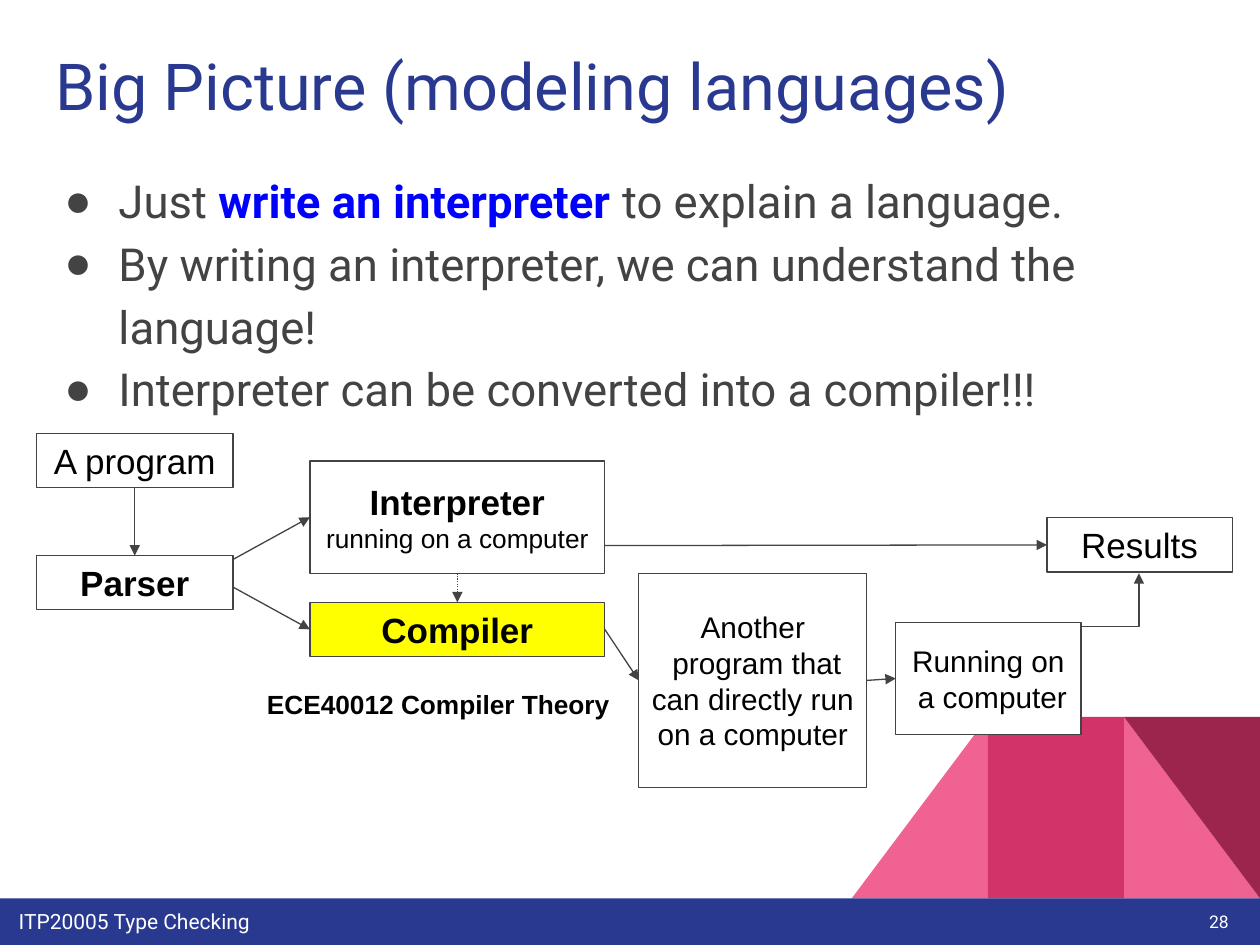
from pptx import Presentation
from pptx.dml.color import RGBColor
from pptx.enum.dml import MSO_LINE
from pptx.enum.shapes import MSO_CONNECTOR, MSO_SHAPE
from pptx.enum.text import MSO_ANCHOR, MSO_AUTO_SIZE, PP_ALIGN
from pptx.oxml.ns import qn
from pptx.util import Inches, Pt
from lxml.etree import SubElement

NAVY, GRAY, PINK = "2A3990", "434343", "F06292"
BLACK, WHITE = "000000", "FFFFFF"
TOP, LEFT, BOTTOM, RIGHT = range(4)


def color(value):
    return RGBColor.from_string(value)


def place(shape, left, top, width, height):
    shape.left, shape.top = Inches(left), Inches(top)
    shape.width, shape.height = Inches(width), Inches(height)


def set_frame(shape, anchor=MSO_ANCHOR.TOP):
    frame = shape.text_frame
    frame.word_wrap = True
    frame.auto_size = MSO_AUTO_SIZE.NONE
    frame.vertical_anchor = anchor
    frame.margin_left = frame.margin_right = Inches(0.1)
    frame.margin_top = frame.margin_bottom = Inches(0.1)
    return frame


def add_run(paragraph, text, size, font="Arial", fill=BLACK, bold=False):
    for index, line in enumerate(text.split("\n")):
        if index:
            paragraph.add_line_break()
        run = paragraph.add_run()
        run.text = line
        run.font.size, run.font.name, run.font.bold = Pt(size), font, bold
        run.font.color.rgb = color(fill)


def add_label(slide, at, text, size, font, fill, bold=False,
              align=PP_ALIGN.LEFT, anchor=MSO_ANCHOR.TOP):
    label = slide.shapes.add_textbox(*map(Inches, at))
    paragraph = set_frame(label, anchor).paragraphs[0]
    paragraph.alignment = align
    add_run(paragraph, text, size, font, fill, bold)


def add_block(slide, kind, at, fill, rotation=0, mirrored=False):
    block = slide.shapes.add_shape(kind, *map(Inches, at))
    block.shadow.inherit = False
    block.fill.solid()
    block.fill.fore_color.rgb = color(fill)
    block.line.fill.background()
    block.rotation = rotation
    if mirrored:
        block._element.spPr.find(qn("a:xfrm")).set("flipH", "1")


def add_box(slide, at, runs, fill=None):
    """Outlined diagram box; runs are (text, size, bold)."""
    box = slide.shapes.add_shape(MSO_SHAPE.RECTANGLE, *map(Inches, at))
    box.shadow.inherit = False
    if fill:
        box.fill.solid()
        box.fill.fore_color.rgb = color(fill)
    else:
        box.fill.background()
    box.line.color.rgb = color(GRAY)
    box.line.width = Pt(0.75)
    paragraph = set_frame(box, MSO_ANCHOR.MIDDLE).paragraphs[0]
    paragraph.alignment = PP_ALIGN.CENTER
    for text, size, bold in runs:
        add_run(paragraph, text, size, bold=bold)
    return box


def add_arrow(slide, start, end, source=None, target=None,
              kind=MSO_CONNECTOR.STRAIGHT, dotted=False):
    """Arrow between points; source and target are (box, side) joints."""
    arrow = slide.shapes.add_connector(kind, *map(Inches, start + end))
    if source:
        arrow.begin_connect(*source)
    if target:
        arrow.end_connect(*target)
    arrow.line.color.rgb = color(GRAY)
    arrow.line.width = Pt(0.75)
    if dotted:
        arrow.line.dash_style = MSO_LINE.ROUND_DOT
    SubElement(arrow.line._get_or_add_ln(), qn("a:tailEnd"), type="triangle")
    SubElement(arrow._element.spPr, qn("a:effectLst"))
    return arrow


def add_bullet(paragraph, runs):
    paragraph.line_spacing = 1.15
    paragraph.space_before = Pt(0)
    properties = paragraph._p.get_or_add_pPr()
    properties.set("marL", str(Inches(0.5)))
    properties.set("indent", str(Inches(-0.43)))
    bullet_color = SubElement(properties, qn("a:buClr"))
    SubElement(bullet_color, qn("a:srgbClr"), val=GRAY)
    SubElement(properties, qn("a:buChar"), char="●")
    for text, fill, bold in runs:
        add_run(paragraph, text, 26, "Roboto", fill, bold)


def add_decoration(slide):
    width, height, top = 1.08, 1.44, 5.69
    triangle, rectangle = MSO_SHAPE.RIGHT_TRIANGLE, MSO_SHAPE.RECTANGLE
    columns = [(left, top, width, height) for left in (6.76, 7.84, 8.92)]
    add_block(slide, triangle, columns[2], PINK)
    add_block(slide, triangle, columns[0], PINK, mirrored=True)
    add_block(slide, rectangle, columns[1], "D23369")
    add_block(slide, triangle, columns[2], "9C254D", rotation=180)
    # Footer bar
    add_block(slide, rectangle, (0, 7.13, 10, 0.37), NAVY)
    add_label(slide, (0.05, 7.11, 7.35, 0.36), "ITP20005 Type Checking",
              12, "Roboto", WHITE)
    add_label(slide, (9.25, 7.03, 0.6, 0.57), "28", 10, "Roboto", WHITE,
              align=PP_ALIGN.RIGHT, anchor=MSO_ANCHOR.MIDDLE)


def add_heading_and_points(slide):
    title, body = slide.shapes.title, slide.placeholders[1]
    place(title, 0.34, 0.26, 9.32, 0.89)
    heading = set_frame(title).paragraphs[0]
    heading.alignment = PP_ALIGN.LEFT
    add_run(heading, "Big Picture (modeling languages)", 37, "Roboto", NAVY)

    place(body, 0.34, 1.21, 9.66, 4.87)
    frame = set_frame(body)
    points = [
        [("Just ", GRAY, False), ("write an interpreter", "0000FF", True),
         (" to explain a language.", GRAY, False)],
        [("By writing an interpreter, we can understand the language!",
          GRAY, False)],
        [("Interpreter can be converted into a compiler!!!", GRAY, False)],
    ]
    for index, runs in enumerate(points):
        add_bullet(frame.add_paragraph() if index else frame.paragraphs[0],
                   runs)


def add_diagram(slide):
    # Boxes
    interpreter = add_box(slide, (2.46, 3.66, 2.34, 0.89),
                          [("Interpreter ", 20, True),
                           ("running on a computer", 15, False)])
    compiler = add_box(slide, (2.46, 4.78, 2.34, 0.43),
                       [("Compiler", 20, True)], "FFFF00")
    program = add_box(slide, (0.29, 3.44, 1.56, 0.43),
                      [("A program", 20, False)])
    parser = add_box(slide, (0.29, 4.41, 1.56, 0.43), [("Parser", 20, True)])
    output = add_box(
        slide, (5.07, 4.55, 1.81, 1.7),
        [("Another\n program that can directly run on a computer", 17, False)])
    running = add_box(slide, (7.11, 4.94, 1.47, 0.89),
                      [("Running on\n a computer", 17, False)], WHITE)
    results = add_box(slide, (8.31, 4.11, 1.47, 0.43),
                      [("Results", 20, False)])

    # Straight arrows
    add_arrow(slide, (1.07, 3.87), (1.07, 4.41),
              (program, BOTTOM), (parser, TOP))
    add_arrow(slide, (1.85, 4.44), (2.46, 4.1), target=(interpreter, LEFT))
    add_arrow(slide, (1.85, 4.66), (2.46, 4.99), target=(compiler, LEFT))
    add_arrow(slide, (3.63, 4.55), (3.63, 4.78),
              (interpreter, BOTTOM), (compiler, TOP), dotted=True)
    add_arrow(slide, (4.8, 4.99), (5.07, 5.4),
              (compiler, RIGHT), (output, LEFT))
    add_arrow(slide, (6.88, 5.4), (7.11, 5.39),
              (output, RIGHT), (running, LEFT))
    add_arrow(slide, (4.8, 4.33), (8.31, 4.33), target=(results, LEFT))

    # Elbow turned a quarter to rise from the running box to the results
    elbow = add_arrow(slide, (8.39, 4.74), (9.23, 5.2),
                      kind=MSO_CONNECTOR.ELBOW)
    elbow._element.spPr.find(qn("a:xfrm")).set("rot", str(270 * 60000))

    add_label(slide, (2.02, 5.36, 3.03, 0.94), "ECE40012 Compiler Theory",
              15, "Arial", BLACK, bold=True)


def main():
    presentation = Presentation()
    presentation.slide_width = Inches(10)
    presentation.slide_height = Inches(7.5)
    slide = presentation.slides.add_slide(presentation.slide_layouts[1])
    add_decoration(slide)
    add_heading_and_points(slide)
    add_diagram(slide)
    presentation.save("out.pptx")


if __name__ == "__main__":
    main()
